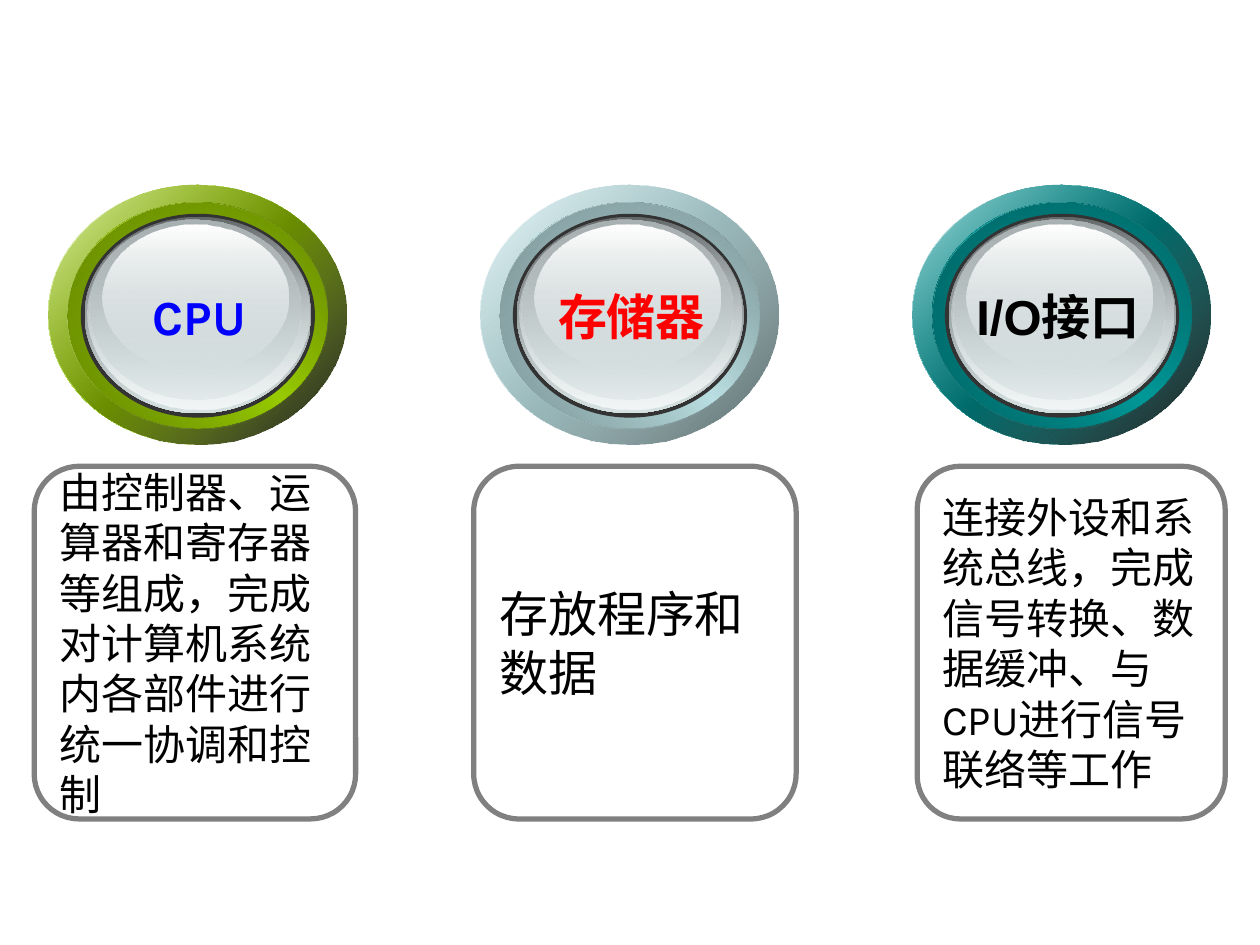
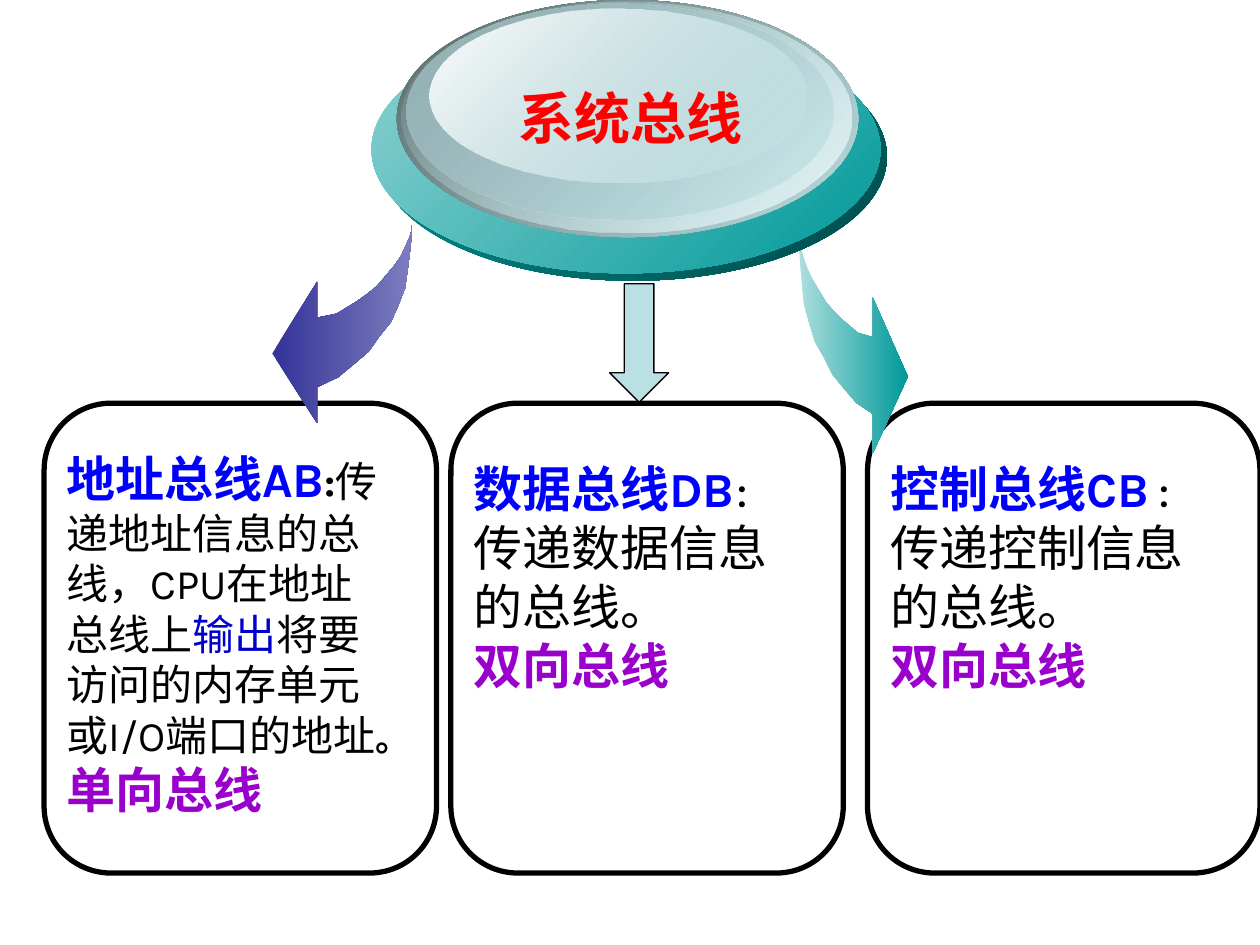
import pptx
import pptx.util
import pptx.dml.color
import pptx.enum.shapes
import pptx.enum.text
import pptx.oxml.ns
from lxml import etree

Cm, Pt = pptx.util.Cm, pptx.util.Pt
KIND = pptx.enum.shapes.MSO_SHAPE
ALIGN = pptx.enum.text.PP_ALIGN
ANCHOR = pptx.enum.text.MSO_ANCHOR

HUES = {
    "black": "000000", "white": "FFFFFF", "grey": "808080", "rim": "333333",
    "blue": "0000FF", "navy": "0000CC", "red": "FF0000", "violet": "9900CC",
    "teal": "009999", "lime": "99CC00", "ice": "BBE0E3", "slate": "576869",
    "indigo": "333399", "lilac": "7D7DBE", "mint": "AEDFDF", "aqua": "8ED2D2",
    "deep": "004A4A", "steel": "94B1B4", "frost": "E7F4F5",
    "lead": "636869", "mist": "D6E1E2", "pearl": "F1F5F5", "ash": "AAB2B3",
}

# Curved arrow, in percent of its width and height, from tail to tip and back
CURVE = [
    (0, 0), (1, 11), (3, 22), (5, 32), (10, 41), (15, 49), (23, 56), (31, 64),
    (41, 70), (53, 77), (68, 82), (68, 100), (100, 65), (68, 29), (68, 47),
    (61, 46), (54, 45), (47, 42), (40, 39), (32, 35), (25, 31), (19, 26),
    (13, 21), (8, 16), (4, 10), (1, 5),
]

# Glass face of a button: offset and size, then two gradient stops
GLASS = [
    ((0.74, 0.64, 4.57, 3.96), ("lead", "mist")),
    ((0.79, 0.64, 4.47, 3.89), (("mist", 0), "pearl")),
    ((0.84, 0.69, 4.24, 3.63), ("ash", ("mist", 48))),
    ((1.09, 0.79, 3.76, 2.95), ("white", ("mist", 38))),
]


def tone(hue):
    return HUES.get(hue, hue)


def shade(hue, part):
    code = tone(hue)
    return "".join(f"{round(int(code[i:i + 2], 16) * part):02X}" for i in (0, 2, 4))


def write(para, text, size=28, hue="black", bold=False, font="Karla"):
    run = para.add_run()
    run.text = text
    run.font.size = Pt(size)
    run.font.bold = bold
    run.font.name = font
    run.font.color.rgb = pptx.dml.color.RGBColor.from_string(tone(hue))


def blend(shape, stops, angle):
    """Fill with evenly spaced stops; a stop is a hue or (hue, opacity)."""
    shape.fill.background()
    props = shape.fill._xPr
    old = props.find(pptx.oxml.ns.qn("a:noFill"))
    grad = etree.Element(pptx.oxml.ns.qn("a:gradFill"), rotWithShape="1")
    group = etree.SubElement(grad, pptx.oxml.ns.qn("a:gsLst"))
    for i, stop in enumerate(stops):
        hue, alpha = stop if isinstance(stop, tuple) else (stop, 100)
        place = str(100000 * i // (len(stops) - 1))
        node = etree.SubElement(group, pptx.oxml.ns.qn("a:gs"), pos=place)
        color = etree.SubElement(node, pptx.oxml.ns.qn("a:srgbClr"), val=tone(hue))
        if alpha < 100:
            etree.SubElement(color, pptx.oxml.ns.qn("a:alpha"), val=str(alpha * 1000))
    etree.SubElement(grad, pptx.oxml.ns.qn("a:lin"), ang=str(angle * 60000), scaled="0")
    props.replace(old, grad)


class Deck:
    def __init__(self):
        self.show = pptx.Presentation()
        self.show.slide_width, self.show.slide_height = Cm(25.4), Cm(19.05)

    def start(self, layout):
        self.slide = self.show.slides.add_slide(self.show.slide_layouts[layout])

    def paint(self, shape, fill=None, line=None, width=1, angle=45):
        shape.shadow.inherit = False
        if isinstance(fill, list):
            blend(shape, fill, angle)
        elif fill:
            shape.fill.solid()
            shape.fill.fore_color.rgb = pptx.dml.color.RGBColor.from_string(tone(fill))
        else:
            shape.fill.background()
        if line:
            shape.line.color.rgb = pptx.dml.color.RGBColor.from_string(tone(line))
            shape.line.width = Pt(width)
        else:
            shape.line.fill.background()

    def form(self, kind, box, **look):
        shape = self.slide.shapes.add_shape(kind, *map(Cm, box))
        self.paint(shape, **look)
        return shape

    def disc(self, box, *stops, angle=45):
        fill = list(stops) if len(stops) > 1 else stops[0]
        return self.form(KIND.OVAL, box, fill=fill, angle=angle)

    def card(self, box, line, curve):
        shape = self.form(KIND.ROUNDED_RECTANGLE, box, line=line, width=3)
        shape.adjustments[0] = curve
        frame = shape.text_frame
        frame.word_wrap = True
        frame.vertical_anchor = ANCHOR.MIDDLE
        frame.paragraphs[0].alignment = ALIGN.LEFT
        return frame

    def note(self, box, paras):
        """Wrapped text box; each paragraph is a list of (text, format)."""
        frame = self.slide.shapes.add_textbox(*map(Cm, box)).text_frame
        frame.word_wrap = True
        for i, runs in enumerate(paras):
            para = frame.add_paragraph() if i else frame.paragraphs[0]
            for text, look in runs:
                write(para, text, **look)

    def label(self, box, text, **look):
        frame = self.slide.shapes.add_textbox(*map(Cm, box)).text_frame
        frame.word_wrap = False
        frame.paragraphs[0].alignment = ALIGN.CENTER
        write(frame.paragraphs[0], text, bold=True, **look)

    def title(self, box, text, **look):
        shape = self.slide.shapes.title
        shape.left, shape.top, shape.width, shape.height = map(Cm, box)
        self.slide.shapes._spTree.append(shape._element)  # bring to front
        frame = shape.text_frame
        frame.auto_size = pptx.enum.text.MSO_AUTO_SIZE.NONE
        frame.word_wrap = False
        frame.vertical_anchor = ANCHOR.TOP
        frame.paragraphs[0].alignment = ALIGN.CENTER
        write(frame.paragraphs[0], text, **look)

    def button(self, left, top, hue, end):
        def at(x, y, w, h):
            return left + x, top + y, w, h

        ring, band = at(0, 0, 6.02, 5.23), at(0.4, 0.35, 5.23, 4.55)
        dark = shade(hue, 0.54)
        self.disc(ring, "white", hue, "white")
        self.disc(ring, (hue, 32), end)
        self.disc(band, dark, hue, dark, angle=315)
        self.disc(band, shade(hue, 0.64), (hue, 0))
        self.disc(at(0.66, 0.58, 4.72, 4.11), "rim")
        for box, stops in GLASS:
            self.disc(at(*box), *stops, angle=90)

    def sweep(self, x, y, w, h, *stops):
        """Curved arrow from (x, y); a negative width turns it left."""
        spots = [(Cm(x + w * u / 100), Cm(y + h * v / 100)) for u, v in CURVE]
        pen = self.slide.shapes.build_freeform(*spots[0], scale=1.0)
        pen.add_line_segments(spots[1:], close=True)
        self.paint(pen.convert_to_shape(), fill=list(stops), angle=0)


def parts(deck):
    deck.start(6)
    # Cards: left, width, text, size
    cards = [
        (0.69, 6.48, "由控制器、运算器和寄存器等组成，完成对计算机系统内各部件进行统一协调和控制", 24),
        (9.55, 6.5, "存放程序和数据", 28),
        (18.49, 6.21, "连接外设和系统总线，完成信号转换、数据缓冲、与CPU进行信号联络等工作", 24),
    ]
    for left, width, text, size in cards:
        frame = deck.card((left, 9.4, width, 7.11), "grey", 0.14)
        write(frame.paragraphs[0], text, size=size)

    # Buttons: ring hue, its dark end, label, label format
    knobs = [
        ("lime", ("black", 90), "CPU", dict(hue="blue")),
        ("ice", "slate", "存储器", dict(hue="red")),
        ("teal", ("black", 90), "I/O接口 ", dict(font="Arial")),
    ]
    for i, (hue, end, text, look) in enumerate(knobs):
        left = 0.97 + 8.71 * i
        deck.button(left, 3.73, hue, end)
        deck.label((left + 0.8, 5.66, 4.5, 1.45), text, **look)


def buses(deck):
    deck.start(5)
    for left in (0.89, 9.09, 17.49):
        deck.card((left, 8.13, 7.91, 9.47), "black", 0.17)

    # Bus notes
    head = dict(hue="blue", bold=True)
    kind = dict(hue="violet", bold=True)
    body = dict(size=24)
    deck.note((1.09, 8.92, 7.06, 7.72), [[
        ("地址总线AB", head), (":", dict(size=24, bold=True)),
        ("传递地址信息的总线，CPU在地址总线上", body),
        ("输出", dict(size=24, hue="navy")),
        ("将要访问的内存单元或I/O端口的地址", body),
        ("。", dict(size=20, bold=True)), ("单向总线", kind),
    ]])
    colon = ("：", dict(size=18, bold=True))
    gap = (" ", dict(size=18))
    for left, name, marks, text in (
        (9.3, "数据总线DB", [colon], "传递数据信息的总线。"),
        (17.7, "控制总线CB", [gap, colon], "传递控制信息的总线。"),
    ):
        first = [(name, head), *marks, (text, {})]
        deck.note((left, 9.12, 7.06, 5), [first, [("双向总线", kind)]])

    # Arrows to the cards
    deck.sweep(8.31, 4.52, -2.82, 4.01, "indigo", "lilac")
    deck.sweep(16.1, 4.72, 2.2, 4.42, "mint", "teal")
    deck.form(KIND.DOWN_ARROW, (12.29, 5.72, 1.19, 2.39),
              fill="ice", line="black", width=0.75)

    # Plate with the title
    for box, stops in (
        ((7.62, 0.66, 10.26, 5), ("teal", "deep")),
        ((7.49, 0.51, 10.26, 5), ("aqua", "teal")),
        ((8, 0, 9.3, 4.78), ("slate", "ice")),
        ((8.1, 0.03, 9.07, 4.65), (("ice", 0), "frost")),
        ((8.2, 0.08, 8.61, 4.34), ("steel", ("ice", 48))),
        ((8.66, 0.18, 7.59, 3.51), ("white", ("ice", 38))),
    ):
        deck.disc(box, *stops)
    deck.title((10.08, 1.55, 5.28, 1.63), "系统总线 ",
               size=32, hue="red", bold=True, font="Arial")


def main():
    deck = Deck()
    parts(deck)
    buses(deck)
    deck.show.save("out.pptx")


if __name__ == "__main__":
    main()
